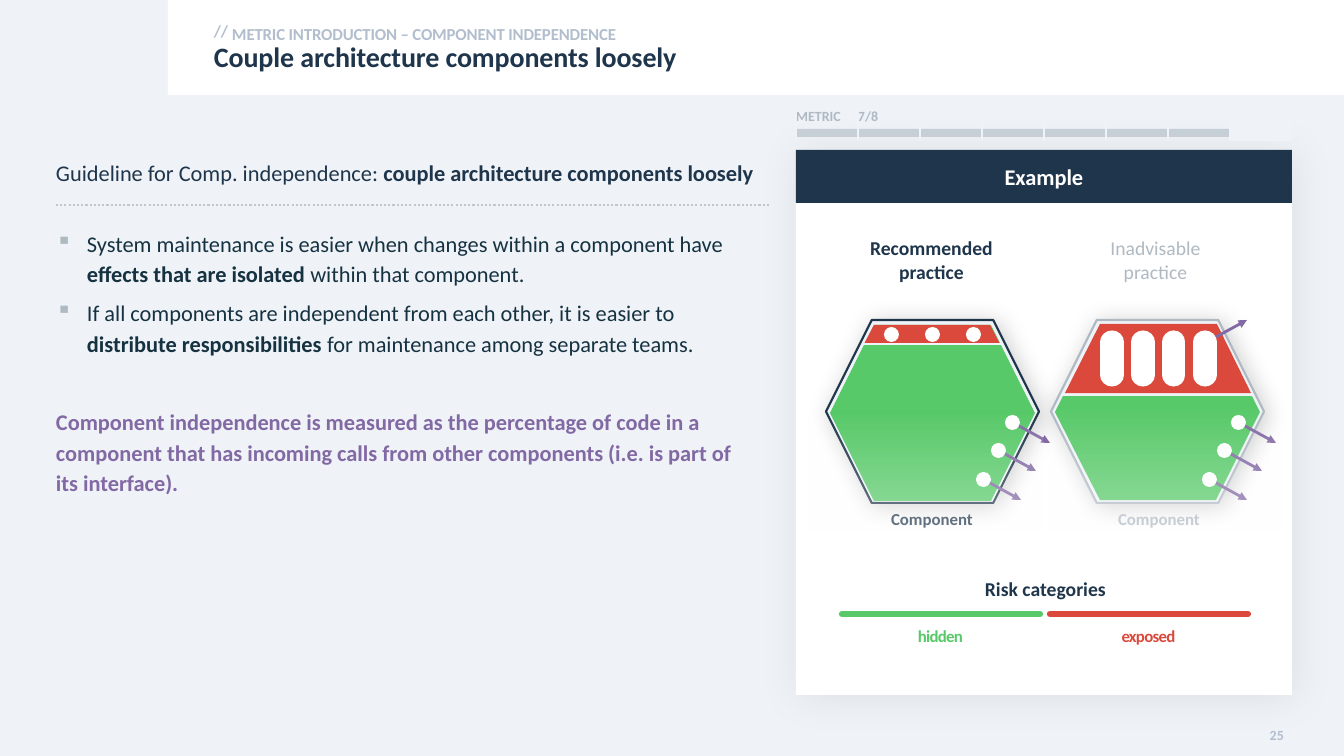
from lxml.etree import SubElement
from pptx import Presentation
from pptx.dml.color import RGBColor
from pptx.enum.shapes import MSO_CONNECTOR, MSO_SHAPE
from pptx.enum.text import MSO_ANCHOR, PP_ALIGN
from pptx.oxml.ns import qn
from pptx.util import Emu, Pt

SLIDE_W, SLIDE_H = 1344, 756
PX = 12192000 / SLIDE_W
FONT = "Calibri"
NAVY, INK, PALE, WHITE = "1F354B", "163241", "EFF3F8", "FFFFFF"
GREY, HEADER_GREY, DOTTED = "AFB9C2", "B2BECD", "C0C7CF"
GREEN, RED, PURPLE = "57C968", "DB493D", "8269A4"


def px(length):
    return Emu(round(length * PX))


def rgb(hex_color):
    return RGBColor.from_string(hex_color)


def sub(parent, tag, **attributes):
    return SubElement(parent, qn(tag), {k: str(v) for k, v in attributes.items()})


def solid(parent, color, alpha=None):
    """Add a colour element, with its opacity in percent."""
    clr = sub(parent, "a:srgbClr", val=color)
    if alpha is not None:
        sub(clr, "a:alpha", val=alpha * 1000)


class SlideBuilder:
    def __init__(self, slide):
        self.slide = slide
        self.shapes = slide.shapes

    def paragraph(self, frame, runs, size, color, first=True, align=PP_ALIGN.LEFT,
                  spacing=None, after=0, before=0, bullet=None, track=0):
        """Write runs of (text, bold); a newline in a text is a line break."""
        para = frame.paragraphs[0] if first else frame.add_paragraph()
        if bullet:
            props = para._p.get_or_add_pPr()
            props.set("marL", str(px(31)))
            props.set("indent", str(-px(31)))
            sub(sub(props, "a:buClr"), "a:srgbClr", val=GREY)
            sub(props, "a:buChar", char=bullet)
        para.alignment = align
        para.space_after = Pt(after)
        if before:
            para.space_before = Pt(before)
        if spacing:
            para.line_spacing = spacing
        for text, bold in runs:
            for i, line in enumerate(text.split("\n")):
                if i:
                    para.add_line_break()
                run = para.add_run()
                run.text = line
                font = run.font
                font.name, font.size, font.bold = FONT, Pt(size), bold
                font.color.rgb = rgb(color)
                if track:
                    run._r.get_or_add_rPr().set("spc", str(round(track * 100)))

    def frame(self, shape, insets=(0, 0, 0, 0), anchor=MSO_ANCHOR.TOP, wrap=True):
        frame = shape.text_frame
        frame.word_wrap = wrap
        frame.vertical_anchor = anchor
        (frame.margin_left, frame.margin_top,
         frame.margin_right, frame.margin_bottom) = map(px, insets)
        return frame

    def textbox(self, box, **options):
        return self.frame(self.shapes.add_textbox(*map(px, box)), **options)

    def label(self, box, text, size, color, bold=True, **style):
        self.paragraph(self.textbox(box), [(text, bold)], size, color,
                       align=PP_ALIGN.CENTER, **style)

    def title(self, box, text):
        title = self.shapes.title
        title.element.getparent().append(title.element)  # in front of the header band
        title.left, title.top, title.width, title.height = map(px, box)
        self.paragraph(self.frame(title), [(text, True)], 20, NAVY, spacing=0.9, track=-0.1)

    def paint(self, shape, fill, alpha=None, outline=None, shadow=None):
        """Fill and outline a shape; shadow is (opacity, blur in points)."""
        shape.fill.solid()
        shape.fill.fore_color.rgb = rgb(fill)
        props = shape.element.find(qn("p:spPr"))
        if alpha is not None:
            sub(props.find(qn("a:solidFill"))[0], "a:alpha", val=alpha * 1000)
        if outline:
            shape.line.color.rgb = rgb(outline)
            shape.line.width = Pt(1.5)
        else:
            shape.line.fill.background()
        shape.shadow.inherit = False
        if shadow:
            opacity, blur = shadow
            outer = sub(props.find(qn("a:effectLst")), "a:outerShdw", blurRad=Pt(blur),
                        dist=Pt(3), dir=45 * 60000, algn="tl", rotWithShape=0)
            solid(outer, "000000", opacity)
        return shape

    def shape(self, kind, box, fill, **style):
        return self.paint(self.shapes.add_shape(kind, *map(px, box)), fill, **style)

    def rect(self, box, fill, **style):
        return self.shape(MSO_SHAPE.RECTANGLE, box, fill, **style)

    def dot(self, x, y):
        self.shape(MSO_SHAPE.OVAL, (x, y, 15, 15), WHITE)

    def polygon(self, points, fill):
        builder = self.shapes.build_freeform(*points[0], scale=PX)
        builder.add_line_segments(points[1:], close=True)
        self.paint(builder.convert_to_shape(), fill)

    def line(self, start, end, color, width, dash=None, cap=None, arrow=False):
        line = self.shapes.add_connector(MSO_CONNECTOR.STRAIGHT, *map(px, start + end))
        line.line.color.rgb = rgb(color)
        line.line.width = Pt(width)
        props = line.element.find(qn("p:spPr"))
        ln = props.find(qn("a:ln"))
        if dash:
            sub(ln, "a:prstDash", val=dash)
        if cap:
            ln.set("cap", cap)
        if arrow:
            sub(ln, "a:tailEnd", type="triangle")
        sub(props, "a:effectLst")

    def arrow(self, start, end):
        self.line(start, end, PURPLE, 2, arrow=True)

    def fade(self, box):
        """Lay a white veil that grows denser towards the bottom."""
        veil = self.rect(box, WHITE)
        veil.fill.gradient()
        gradient = veil.element.find(qn("p:spPr")).find(qn("a:gradFill"))
        gradient.clear()
        stops = sub(gradient, "a:gsLst")
        for position, alpha in ((50, 0), (90, 30)):
            solid(sub(stops, "a:gs", pos=position * 1000), WHITE, alpha)
        sub(gradient, "a:lin", ang=90 * 60000, scaled=0)

    def progress_table(self, box, texts):
        table = self.shapes.add_table(1, len(texts), *map(px, box)).table
        table.first_row = table.horz_banding = False
        for i, text in enumerate(texts):
            cell = table.cell(0, i)
            cell.margin_left = cell.margin_right = cell.margin_top = cell.margin_bottom = 0
            if text:
                self.paragraph(cell.text_frame, [(text, True)], 10, GREY)
            props = cell._tc.get_or_add_tcPr()
            for side in "LRTB":
                if side in "LR":
                    border = sub(props, f"a:ln{side}", w=Pt(1))
                    solid(sub(border, "a:solidFill"), PALE)
                else:
                    sub(sub(props, f"a:ln{side}", w=0), "a:noFill")
            if i == len(texts) - 1:
                cell.fill.solid()
                cell.fill.fore_color.rgb = rgb(PALE)
            else:
                cell.fill.background()

    def outgoing_calls(self, shift):
        for x, y in ((1005, 415), (991, 443), (976, 472)):
            self.dot(x + shift, y)
            self.arrow((x + shift + 14, y + 11), (x + shift + 45, y + 28))


def build_header(s):
    s.rect((0, 0, SLIDE_W, SLIDE_H), PALE)
    s.rect((168, 0, 1176, 95), WHITE)
    s.paragraph(s.textbox((204, 16, 37, 30), insets=(10, 5, 10, 5), anchor=MSO_ANCHOR.MIDDLE),
                [("//", True)], 12, HEADER_GREY, track=-0.1)
    s.paragraph(s.textbox((1267, 722, 27, 26), insets=(0, 4, 10, 5),
                          anchor=MSO_ANCHOR.MIDDLE, wrap=False),
                [("25", True)], 10, HEADER_GREY, align=PP_ALIGN.RIGHT, track=0.1)
    s.paragraph(s.textbox((232, 19, 1062, 24), insets=(0, 2, 10, 0)),
                [("METRIC INTRODUCTION – COMPONENT INDEPENDENCE", True)],
                12, HEADER_GREY, spacing=1.14, after=6, track=-0.1)
    s.title((214, 43, 1082, 31), "Couple architecture components loosely")


def build_guideline(s):
    style = dict(spacing=1.14, after=6)
    s.line((769, 205), (56, 205), DOTTED, 1.5, dash="sysDot")
    s.paragraph(s.textbox((56, 150, 715, 53), insets=(0, 5, 0, 5)),
                [("Guideline for Comp. independence: ", False),
                 ("couple architecture components loosely", True)], 16, NAVY, **style)
    body = s.textbox((56, 221, 677, 439), insets=(0, 5, 0, 5))
    reasons = (
        ("System maintenance is easier when changes within a component have ",
         "effects that are isolated ", "within that component."),
        ("If all components are independent from each other, it is easier to ",
         "distribute responsibilities ", "for maintenance among separate teams."))
    for i, (opening, emphasis, ending) in enumerate(reasons):
        s.paragraph(body, [(opening, False), (emphasis, True), (ending, False)],
                    16, INK, first=i == 0, bullet="▪", **style)
    s.paragraph(body, [("Component independence is measured as the percentage of code in a "
                        "component that has incoming calls from other components "
                        "(i.e. is part of its interface).", True)],
                16, PURPLE, first=False, before=28, **style)


def build_example(s):
    s.rect((796, 150, 496, 545), WHITE, shadow=(7, 30))
    heading = s.rect((796, 150, 496, 53), NAVY)
    s.paragraph(s.frame(heading, insets=(0, 8, 0, 8), anchor=MSO_ANCHOR.MIDDLE),
                [("Example", True)], 16, WHITE, align=PP_ALIGN.CENTER, after=5.7)
    practices = ((826, NAVY, (833, 236, 197, 39), "Recommended\npractice", True, 878),
                 (1051, GREY, (1070, 236, 171, 39), "Inadvisable\npractice", False, 1105))
    for hexagon_x, color, caption_box, caption, bold, component_x in practices:
        s.shape(MSO_SHAPE.HEXAGON, (hexagon_x, 320, 213, 183), PALE,
                outline=color, shadow=(20, 17))
        s.label(caption_box, caption, 14, color, bold, after=5.7)
        s.label((component_x, 509, 108, 29), "Component", 12, color, after=5.7)

    s.shape(MSO_SHAPE.HEXAGON, (830, 325, 205, 176), GREEN)
    s.polygon([(874, 325), (990, 325), (1000, 344), (864, 344)], RED)
    for i in range(3):
        s.dot(884 + 41 * i, 327)
    s.line((862, 344), (1001, 344), PALE, 2)
    s.outgoing_calls(0)
    s.fade((809, 293, 234, 238))

    s.polygon([(1100, 324), (1217, 324), (1251, 393), (1065, 393)], RED)
    for i in range(4):
        x = 1112 + 31 * i
        s.line((x, 375), (x, 342), WHITE, 16.5, cap="rnd")
    s.polygon([(1063, 396), (1252, 396), (1260, 412), (1216, 500), (1100, 500), (1055, 412)],
              GREEN)
    s.line((1063, 395), (1252, 395), PALE, 2)
    s.outgoing_calls(226)
    s.fade((1050, 283, 234, 247))
    s.arrow((1216, 337), (1247, 320))

    s.label((842, 577, 407, 29), "Risk categories", 14, NAVY, after=5.7)
    for x, risk, color in ((842, "hidden", GREEN), (1050, "exposed", RED)):
        s.line((x, 614), (x + 198, 614), color, 4.5, cap="rnd")
        s.label((x + 51, 626, 95, 39), risk, 12, color, track=-0.5)


def build_progress(s):
    s.rect((796, 129, 496, 8), GREY, alpha=60)
    s.progress_table((796, 108, 496, 33), ["METRIC", "7/8"] + [""] * 6)


def main():
    deck = Presentation()
    deck.slide_width, deck.slide_height = px(SLIDE_W), px(SLIDE_H)
    s = SlideBuilder(deck.slides.add_slide(deck.slide_layouts[5]))
    for build in (build_header, build_guideline, build_example, build_progress):
        build(s)
    deck.save("out.pptx")


if __name__ == "__main__":
    main()
